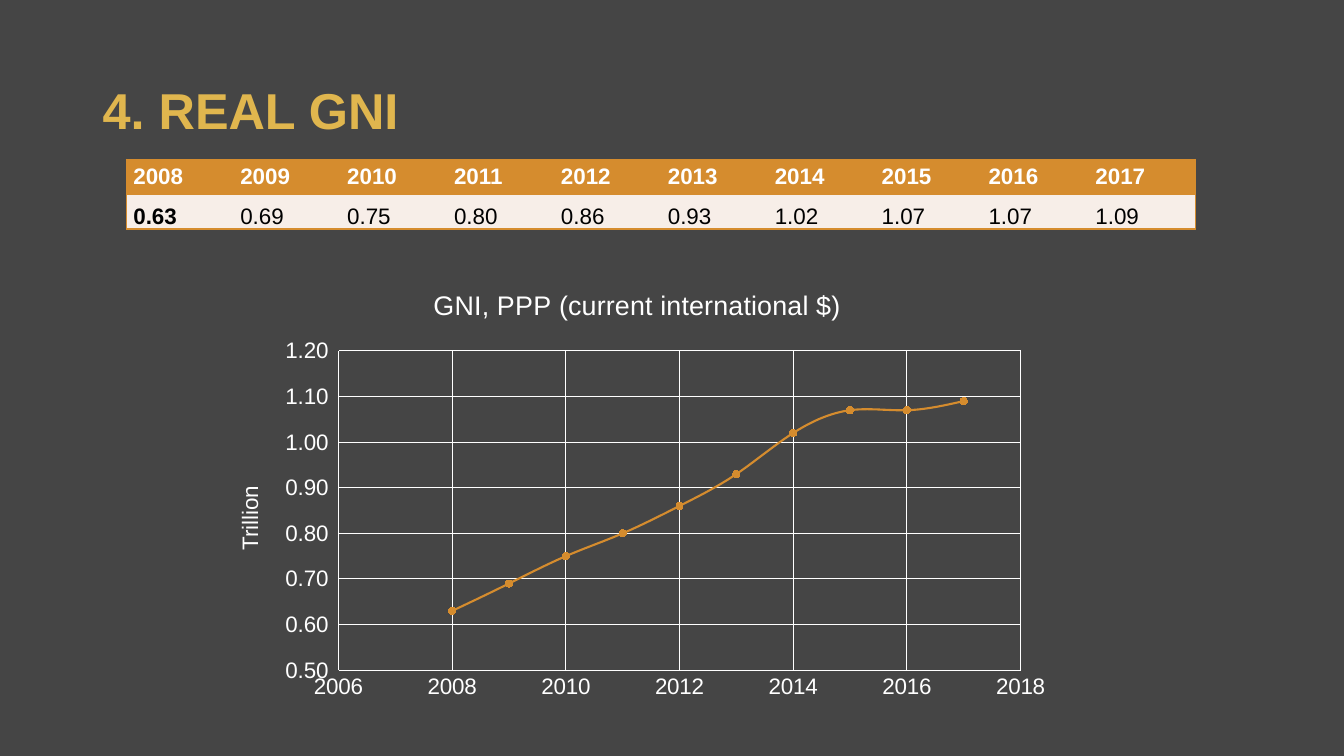
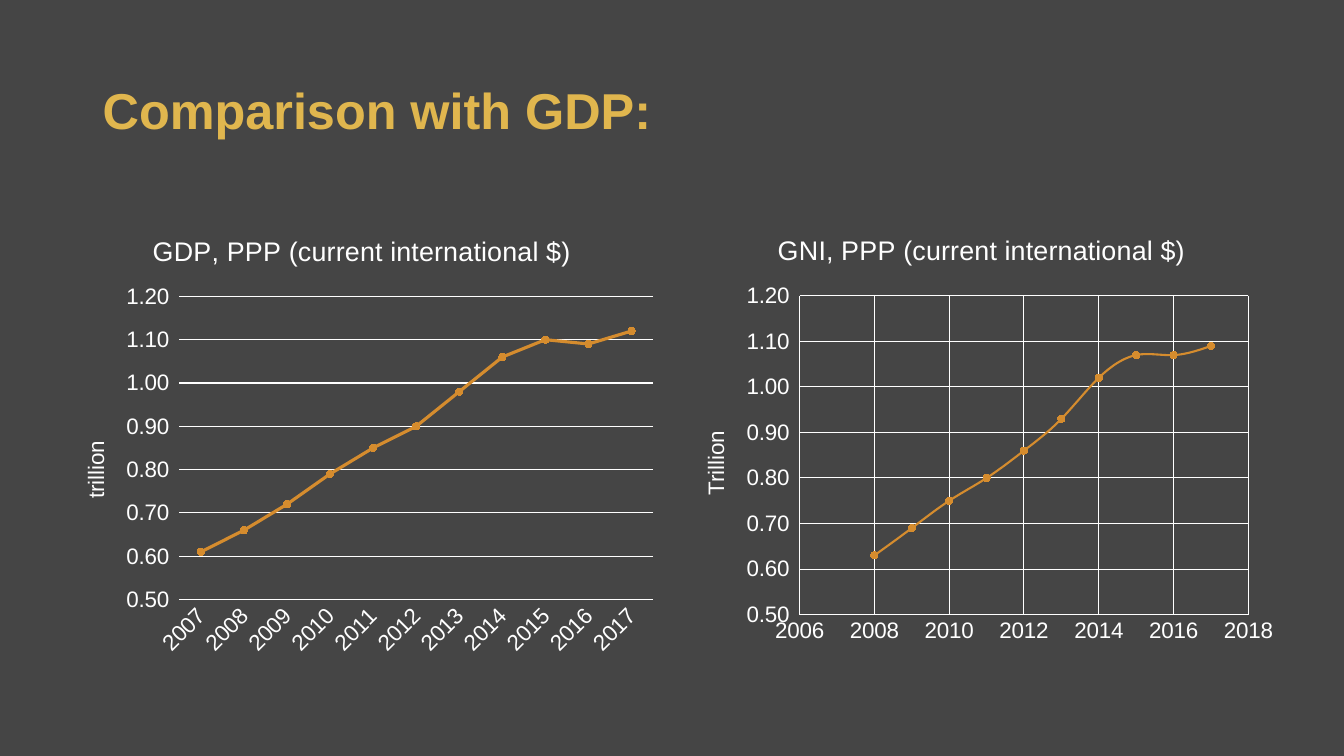
from pptx import Presentation
from pptx.chart.data import CategoryChartData, XyChartData
from pptx.dml.color import RGBColor
from pptx.enum.chart import XL_CHART_TYPE, XL_MARKER_STYLE, XL_TICK_MARK
from pptx.enum.text import MSO_ANCHOR
from pptx.oxml import parse_xml
from pptx.oxml.ns import nsdecls, qn
from pptx.util import Inches, Pt

INK = {name: RGBColor.from_string(code) for name, code in {
    "back": "454545", "gold": "E0B64E", "amber": "D58C2E",
    "cream": "F7EEE8", "white": "FFFFFF", "black": "000000"}.items()}
WIDE, HIGH = Inches(13.33), Inches(7.5)
PLAIN = {"name": "Arial", "size": Pt(16), "bold": False}
BOLD = {**PLAIN, "bold": True}
HEAD = {**BOLD, "size": Pt(36)}
CAPTION = {**PLAIN, "size": Pt(19.2)}
NO_STYLE = "{2D5ABB26-0587-4C30-8999-92F81FD0307C}"
AUTO_TURN = "-60000000"


def dress(font, form, ink):
    for key, value in form.items():
        setattr(font, key, value)
    font.color.rgb = INK[ink]


def pin(part, inner, **shares):
    """Fix a chart part at percentages of the chart's size."""
    old = part.find(qn("c:layout"))
    if old is not None:
        part.remove(old)
    target = '<c:layoutTarget val="inner"/>' if inner else ""
    modes = "".join(f'<c:{key}Mode val="edge"/>' for key in "xy")
    sizes = "".join(f'<c:{key} val="{share / 100:.4f}"/>' for key, share in shares.items())
    layout = parse_xml(f'<c:layout {nsdecls("c")}><c:manualLayout>{target}{modes}{sizes}'
                       "</c:manualLayout></c:layout>")
    part.insert(0 if part.find(qn("c:tx")) is None else 1, layout)


# Data
gni = dict(zip(range(2008, 2018),
               [0.63, 0.69, 0.75, 0.80, 0.86, 0.93, 1.02, 1.07, 1.07, 1.09]))
gdp = dict(zip(range(2007, 2018),
               [0.61, 0.66, 0.72, 0.79, 0.85, 0.90, 0.98, 1.06, 1.10, 1.09, 1.12]))

# Deck with shared background
deck = Presentation()
deck.slide_width, deck.slide_height = WIDE, HIGH
fill = deck.slide_master.background.fill
fill.solid()
fill.fore_color.rgb = INK["back"]
col, row = WIDE / 100, HIGH / 100

# Titles
slides = []
for words in ("4. REAL GNI", "Comparison with GDP:"):
    slide = deck.slides.add_slide(deck.slide_layouts[6])
    slides.append(slide)
    box = slide.shapes.add_textbox(
        int(6.9 * col), int(5.33 * row), int(86.25 * col), int(19.33 * row))
    frame = box.text_frame
    frame.word_wrap = True
    frame.vertical_anchor = MSO_ANCHOR.MIDDLE
    para = frame.paragraphs[0]
    para.text = words
    para.line_spacing = 0.9
    dress(para.runs[0].font, HEAD, "gold")

# Table of yearly values
table = slides[0].shapes.add_table(
    2, len(gni), int(9.4 * col), int(21.1 * row), int(79.55 * col), int(9.2 * row)).table
table._tbl.tblPr.find(qn("a:tableStyleId")).text = NO_STYLE
rows = [(gni.keys(), "{}", MSO_ANCHOR.MIDDLE, "amber", "white"),
        (gni.values(), "{:.2f}", MSO_ANCHOR.BOTTOM, "cream", "black")]
for r, (values, form, anchor, shade, ink) in enumerate(rows):
    for c, value in enumerate(values):
        cell = table.cell(r, c)
        cell.text = form.format(value)
        look = {"vertical_anchor": anchor, "margin_left": Inches(0.07),
                "margin_right": Inches(0.07), "margin_top": 0, "margin_bottom": 0}
        for key, item in look.items():
            setattr(cell, key, item)
        dress(cell.text_frame.paragraphs[0].runs[0].font,
              BOLD if r == 0 or c == 0 else PLAIN, ink)
        sides = ("L" if c == 0 else "") + ("R" if c == len(gni) - 1 else "") + "TB"
        for side in sides:
            cell._tc.get_or_add_tcPr().append(parse_xml(
                f'<a:ln{side} {nsdecls("a")} w="12700"><a:solidFill>'
                f'<a:srgbClr val="{INK["amber"]}"/></a:solidFill></a:ln{side}>'))
        cell.fill.solid()
        cell.fill.fore_color.rgb = INK[shade]

# Charts: slide, measure, unit, data, place, plot area, caption spot, unit spot
charts = [
    (0, "GNI", "Trillion", gni, (15.9, 35.5, 63.2, 58.1),
     (14.7, 18.8, 80.3, 72.7), (25.3, 3.1), (2.1, 48.6)),
    (1, "GDP", "trillion", gdp, (4.35, 28.3, 45.2, 59.6),
     (19.9, 18.3, 78, 67.3), (14.7, 3.1), (3.1, 49.5)),
    (1, "GNI", "Trillion", gni, (50.5, 28.3, 45.2, 58),
     (19.9, 18.7, 73.9, 72.7), (15.5, 3.1), (3.1, 48.6)),
]
for page, name, unit, data, place, area, top, side in charts:
    smooth = name == "GNI"
    if smooth:
        kind, source = XL_CHART_TYPE.XY_SCATTER_SMOOTH, XyChartData()
        points = source.add_series("Series 1")
        for year, value in data.items():
            points.add_data_point(year, value)
    else:
        kind, source = XL_CHART_TYPE.LINE_MARKERS, CategoryChartData()
        source.categories = [str(year) for year in data]
        source.add_series("Series 1", data.values())
    x, y, w, h = place
    chart = slides[page].shapes.add_chart(
        kind, int(x * col), int(y * row), int(w * col), int(h * row), source).chart
    chart.has_legend = False
    dress(chart.font, PLAIN, "white")
    across, up = chart.category_axis, chart.value_axis

    # Caption and unit
    for frame, words, form in (
            (chart.chart_title.text_frame, f"{name}, PPP (current international $)", CAPTION),
            (up.axis_title.text_frame, unit, PLAIN)):
        frame.text = words
        dress(frame.paragraphs[0].runs[0].font, form, "white")
    root = chart._chartSpace
    for title, (x, y) in zip(root.xpath("//c:title"), (top, side)):
        pin(title, False, x=x, y=y)
    pin(root.xpath("//c:plotArea")[0], True, **dict(zip("xywh", area)))

    # Axes
    scales = [(up, {"minimum_scale": 0.5, "maximum_scale": 1.2, "major_unit": 0.1}, "0.00_ ")]
    if smooth:
        scales.append((across, {"minimum_scale": 2006, "maximum_scale": 2018,
                                "major_unit": 2}, "0"))
    for axis, scale, form in scales:
        for key, value in scale.items():
            setattr(axis, key, value)
        axis.tick_labels.number_format = form
        axis.tick_labels.number_format_is_linked = False
    for axis, grid in ((across, smooth), (up, True)):
        axis.has_major_gridlines = grid
        axis.major_tick_mark = axis.minor_tick_mark = XL_TICK_MARK.NONE
        dress(axis.tick_labels.font, PLAIN, "white")
        lines = [axis.format.line] + ([axis.major_gridlines.format.line] if grid else [])
        for line in lines:
            line.color.rgb = INK["white"]
            line.width = Pt(0.75)
    if not smooth:
        up.format.line.fill.background()
        across._element.txPr.bodyPr.set("rot", AUTO_TURN)

    # Curve
    plot = chart.plots[0]
    plot.vary_by_categories = False
    curve = plot.series[0]
    curve._element.get_or_add_smooth().val = smooth
    curve.format.line.color.rgb = INK["amber"]
    curve.format.line.width = Pt(1.5 if smooth else 2.25)
    marker = curve.marker
    marker.style, marker.size = XL_MARKER_STYLE.CIRCLE, 5
    marker.format.fill.solid()
    marker.format.fill.fore_color.rgb = INK["amber"]
    marker.format.line.color.rgb = INK["amber"]

deck.save("out.pptx")
